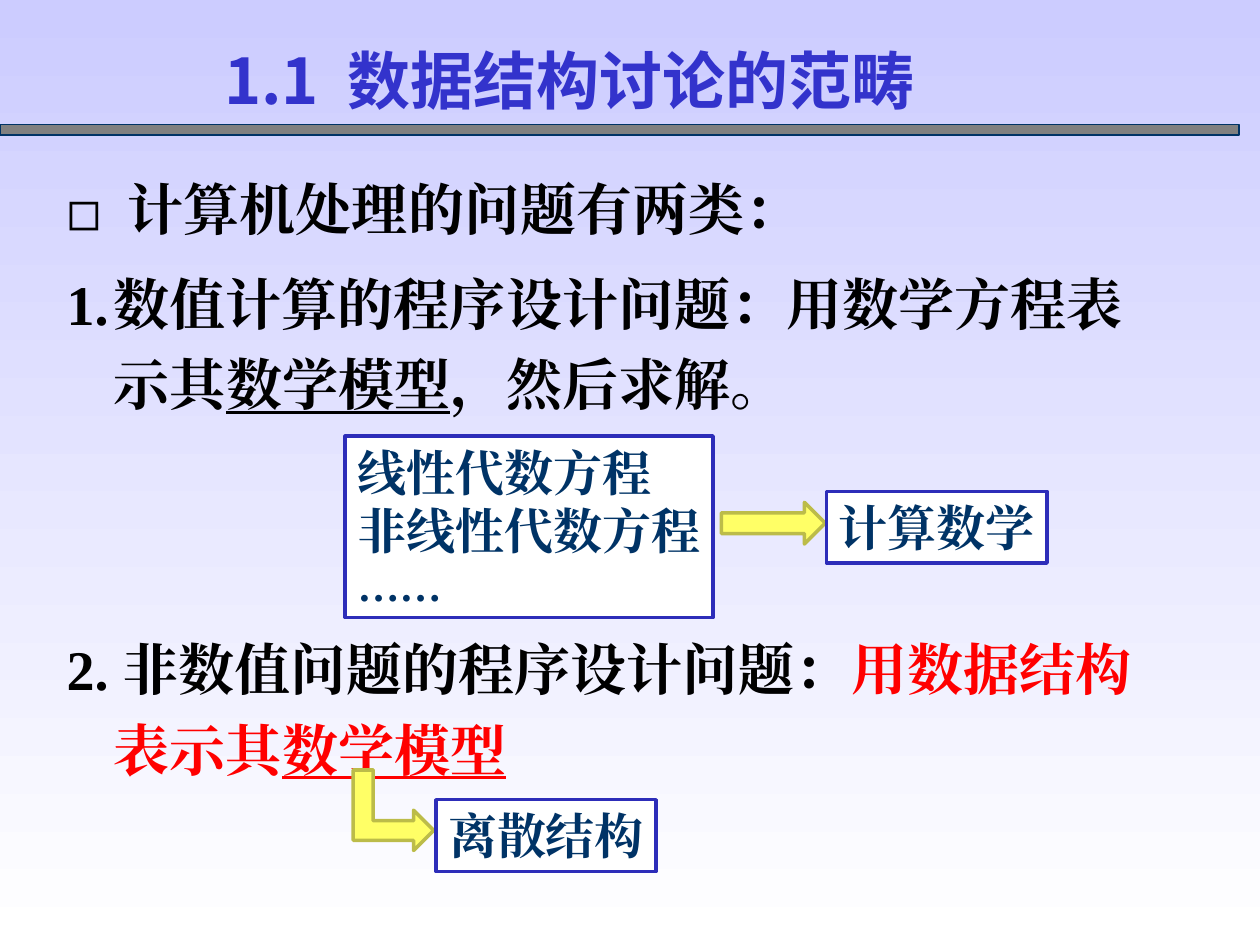
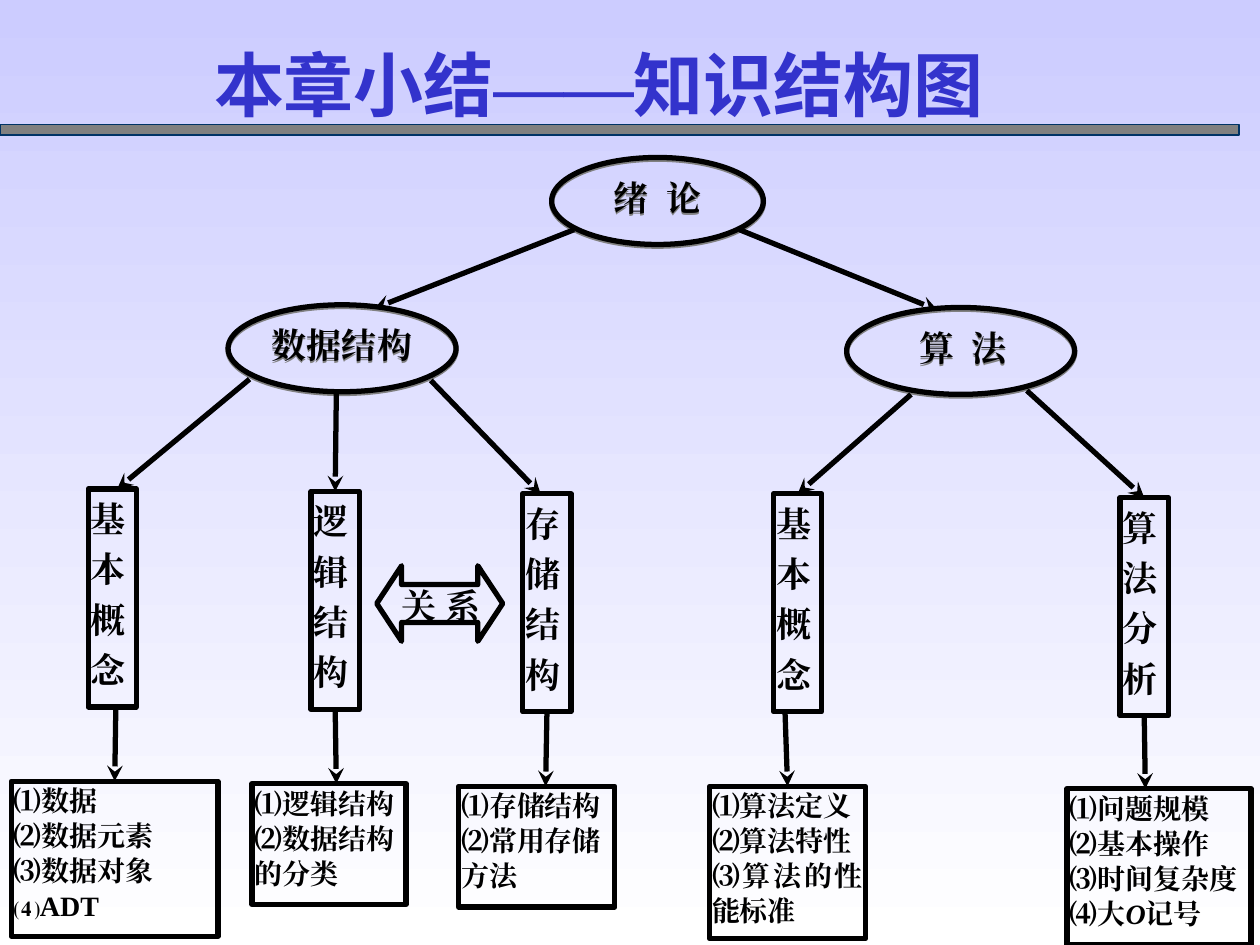
from dataclasses import dataclass
from math import inf

from lxml.etree import SubElement
from pptx import Presentation
from pptx.dml.color import RGBColor
from pptx.enum.shapes import MSO_CONNECTOR, MSO_SHAPE
from pptx.enum.text import MSO_ANCHOR, PP_ALIGN
from pptx.oxml.ns import qn
from pptx.util import Pt


@dataclass(frozen=True)
class Theme:
    sky: str = "CCCCFF"
    white: str = "FFFFFF"
    black: str = "000000"
    gray: str = "808080"
    navy: str = "003366"
    title: str = "3333CC"
    frame: str = "2D2DB9"
    red: str = "FF0000"
    yellow: str = "FFFF66"
    olive: str = "BCBC49"
    serif: str = "Times New Roman"
    sans: str = "Noto Sans CJK SC"
    body: int = 32
    label: int = 28
    dots: int = 24
    node: int = 20
    item: int = 16
    lead: float = 1.2


T = Theme()
ROOM = (7.2, 3.6, 7.2, 3.6)


def rgb(code):
    return RGBColor.from_string(code)


def write(frame, paras, size, color=T.black, font=T.serif, lead=1.0,
          align=PP_ALIGN.LEFT, inset=ROOM, wrap=True,
          anchor=MSO_ANCHOR.TOP, gap=0):
    """Each paragraph is a list of (text, changes); lead None is natural."""
    frame.word_wrap, frame.vertical_anchor = wrap, anchor
    sides = [Pt(n) for n in inset]
    frame.margin_left, frame.margin_top = sides[:2]
    frame.margin_right, frame.margin_bottom = sides[2:]
    for num, parts in enumerate(paras):
        para = frame.add_paragraph() if num else frame.paragraphs[0]
        para.alignment = align
        para.space_before = para.space_after = Pt(gap)
        tall = max(more.get("size", size) for _, more in parts)
        if lead:
            para.line_spacing = Pt(round(tall * T.lead * lead, 2))
        for text, more in parts:
            run = para.add_run()
            run.text = text
            face = run.font
            face.bold = True
            face.size = Pt(more.get("size", size))
            face.color.rgb = rgb(more.get("color", color))
            face.name = more.get("font", font)
            if "line" in more:
                face.underline = True
            if "slant" in more:
                face.italic = True
            east = SubElement(run._r.get_or_add_rPr(), qn("a:ea"))
            east.set("typeface", face.name)


def plain(*lines):
    return [[(line, {})] for line in lines]


def paint(shape, fill=None, line=T.black, width=3):
    shape.shadow.inherit = False
    if fill:
        shape.fill.solid()
        shape.fill.fore_color.rgb = rgb(fill)
    else:
        shape.fill.background()
    shape.line.color.rgb = rgb(line)
    shape.line.width = Pt(width)
    return shape


def shape(slide, kind, box, **look):
    return paint(slide.shapes.add_shape(kind, *map(Pt, box)), **look)


def text_box(slide, box, paras, size, **style):
    frame = slide.shapes.add_textbox(*map(Pt, box)).text_frame
    write(frame, paras, size, **style)
    return frame


def base(deck, box, runs, size):
    """Blank slide with gradient, title and gray bar."""
    slide = deck.slides.add_slide(deck.slide_layouts[6])
    fill = slide.background.fill
    fill.gradient()
    fill.gradient_angle = 270
    for stop, code in zip(fill.gradient_stops, (T.sky, T.white)):
        stop.color.rgb = rgb(code)
    shape(slide, MSO_SHAPE.RECTANGLE, (0, 71.3, 708, 5.8),
          fill=T.gray, line=T.navy, width=0.75)
    text_box(slide, box, [runs], size, color=T.title, font=T.sans,
             lead=None, anchor=MSO_ANCHOR.MIDDLE)
    return slide


def hang(para, mark=None, value=None):
    """Hanging indent with an optional bullet element."""
    props = para._p.get_or_add_pPr()
    props.set("marL", str(Pt(27)))
    props.set("indent", str(Pt(-27)))
    if mark:
        tint = SubElement(props, qn("a:buClr"))
        SubElement(tint, qn("a:srgbClr")).set("val", T.black)
        SubElement(props, qn("a:buFont")).set("typeface", T.sans)
        kind = "char" if mark == "buChar" else "type"
        SubElement(props, qn("a:" + mark)).set(kind, value)


def points(slide, box, paras, marks):
    frame = text_box(slide, box, paras, T.body, lead=1.2, gap=4)
    for para, mark in zip(frame.paragraphs, marks):
        hang(para, *mark)


def label(slide, box, paras):
    card = shape(slide, MSO_SHAPE.RECTANGLE, box,
                 fill=T.white, line=T.frame, width=2)
    write(card.text_frame, paras, T.label, color=T.navy, wrap=False)


def elbow(slide, left, top):
    """Arrow that runs down and then turns right."""
    dots = [(0, 0), (11.5, 0), (11.5, 29), (34.5, 29), (34.5, 23),
            (46, 34.5), (34.5, 46), (34.5, 40.2), (0, 40.2)]
    spots = [(Pt(left + x), Pt(top + y)) for x, y in dots]
    draft = slide.shapes.build_freeform(*spots[0])
    draft.add_line_segments(spots[1:], close=True)
    paint(draft.convert_to_shape(), fill=T.yellow, line=T.olive, width=2)


def scope(deck):
    slide = base(deck, (121, 20.2, 564, 50.4),
                 [("1.1  数据结构讨论的范畴", {})], 36)
    under, red = {"line": True}, {"color": T.red}
    points(slide, (31, 88.6, 648, 160), [
        [(" 计算机处理的问题有两类：", {})],
        [("数值计算的程序设计问题：用数学方程表示其", {}),
         ("数学模型", under), ("，然后求解。", {})],
    ], [("buChar", "◻"), ("buAutoNum", "arabicPeriod")])
    points(slide, (31, 351.4, 648, 104), [
        [("2. 非数值问题的程序设计问题：", {}),
         ("用数据结构表示其", red), ("数学模型", red | under)],
    ], [()])
    elbow(slide, 201.8, 440)
    label(slide, (197.3, 249.2, 210.2, 103.7),
          plain("线性代数方程", "非线性代数方程")
          + [[("……", {"size": T.dots})]])
    shape(slide, MSO_SHAPE.RIGHT_ARROW, (412.3, 287.1, 59.3, 23.8),
          fill=T.yellow, line=T.olive, width=2)
    label(slide, (472.3, 280.8, 126, 41), plain("计算数学"))
    label(slide, (249, 457, 126, 41), plain("离散结构"))


def oval(slide, box, text, left=7.2):
    node = shape(slide, MSO_SHAPE.OVAL, box)
    write(node.text_frame, plain(text), T.node, align=PP_ALIGN.CENTER,
          inset=(left, 3.6, min(left, 7.2), 3.6))
    glow = SubElement(node._element.spPr.find(qn("a:effectLst")),
                      qn("a:outerShdw"))
    for key, val in (("dist", Pt(1)), ("dir", 5400000),
                     ("algn", "ctr"), ("rotWithShape", 0)):
        glow.set(key, str(val))
    SubElement(glow, qn("a:srgbClr")).set("val", T.gray)


def near(card, x):
    mid = (card.left + card.width / 2) / Pt(1) if card else inf
    return abs(x - mid) <= 2


def arrow(slide, start, end, above=None, below=None):
    """Joins a box only where the arrow meets the middle of its side."""
    line = slide.shapes.add_connector(
        MSO_CONNECTOR.STRAIGHT, *map(Pt, (*start, *end)))
    line.line.color.rgb = rgb(T.black)
    line.line.width = Pt(3)
    SubElement(line.line._get_or_add_ln(), qn("a:tailEnd")).set(
        "type", "stealth")
    SubElement(line._element.spPr, qn("a:effectLst"))
    if near(above, start[0]):
        line.begin_connect(above, 2)
    if near(below, end[0]):
        line.end_connect(below, 0)


def branch(slide, start, tip, spot, name, stem, box, items):
    """Arrow to an upright topic, then an arrow to its list."""
    topic = shape(slide, MSO_SHAPE.RECTANGLE, (*spot, 27.5, 124.6))
    write(topic.text_frame, plain(name), T.node, lead=1.2,
          align=PP_ALIGN.JUSTIFY, inset=(1.5, 0, 1.5, 0))
    notes = shape(slide, MSO_SHAPE.RECTANGLE, box)
    write(notes.text_frame, items, T.item, lead=1.04,
          align=PP_ALIGN.JUSTIFY, inset=(1.5, 0.75, 1.5, 0.75))
    arrow(slide, start, (tip, spot[1]), below=topic)
    arrow(slide, (stem, spot[1] + 124.6), (stem, box[1]), topic, notes)


def summary(deck):
    slide = base(deck, (115.2, 20.2, 533.5, 55.4),
                 [("本章小结", {}), ("——", {"font": T.serif}),
                  ("知识结构图", {})], 40)
    oval(slide, (315.2, 90, 121, 49.7), "绪  论")
    oval(slide, (130.3, 174.2, 130.3, 49.7), "数据结构", 4.3)
    oval(slide, (483.8, 175.7, 130.3, 49.7), "算  法", 10)
    arrow(slide, (328, 131.3), (214, 176.2))
    arrow(slide, (422.6, 131.3), (535.7, 177.2))
    branches = [
        ((142.6, 216.7), 67, (50.4, 279.4), "基本概念", 66.2,
         (6.5, 446.4, 118.1, 88.6),
         plain("⑴数据", "⑵数据元素", "⑶数据对象", "⑷ADT")),
        ((192.2, 224.6), 192.2, (177.8, 280.8), "逻辑结构", 192.2,
         (144, 447.8, 88, 69.1),
         plain("⑴逻辑结构", "⑵数据结构", "的分类")),
        ((246.2, 217.4), 308.9, (298.8, 282.2), "存储结构", 311.8,
         (262.1, 449.3, 89.3, 69.1),
         plain("⑴存储结构", "⑵常用存储", "方法")),
        ((520.6, 225.4), 455.8, (442.1, 282.2), "基本概念", 448.6,
         (405.4, 449.3, 89.3, 87.1),
         plain("⑴算法定义", "⑵算法特性", "⑶算法的性能标准")),
        ((586.8, 223.2), 653.8, (640.1, 284.4), "算法分析", 654.5,
         (609.8, 450.7, 105.1, 89.3),
         plain("⑴问题规模", "⑵基本操作", "⑶时间复杂度")
         + [[("⑷大", {}), ("O", {"slant": True}), ("记号", {})]]),
    ]
    for parts in branches:
        branch(slide, *parts)
    link = shape(slide, MSO_SHAPE.LEFT_RIGHT_ARROW,
                 (215.3, 323.3, 72, 43.2))
    link.adjustments[0], link.adjustments[1] = 0.5, 0.33
    write(link.text_frame, plain("关 系"), T.node,
          align=PP_ALIGN.JUSTIFY, inset=(7.2, 0, 0, 0))


def main():
    deck = Presentation()
    deck.slide_width, deck.slide_height = Pt(720), Pt(540)
    scope(deck)
    summary(deck)
    deck.save("out.pptx")


if __name__ == "__main__":
    main()
